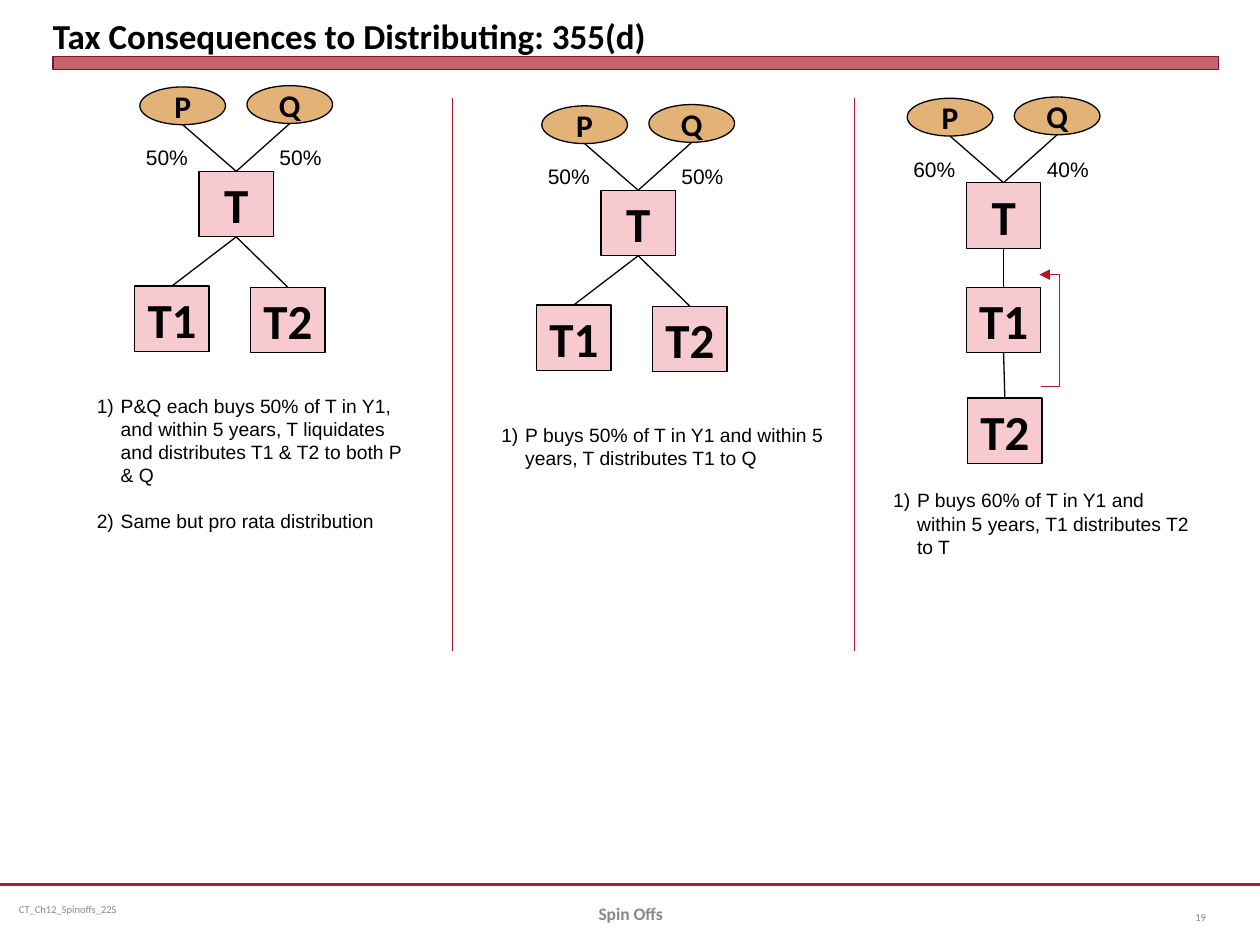
"""Builds the slide on tax consequences to Distributing under 355(d)."""
import pptx
import pptx.util
import pptx.dml.color
import pptx.enum.shapes
import pptx.enum.text
import pptx.oxml
import pptx.oxml.ns
import lxml.etree

Inches, Pt = pptx.util.Inches, pptx.util.Pt
hue = pptx.dml.color.RGBColor.from_string
Shape = pptx.enum.shapes.MSO_SHAPE
Wire = pptx.enum.shapes.MSO_CONNECTOR
Anchor = pptx.enum.text.MSO_ANCHOR
Align = pptx.enum.text.PP_ALIGN
qn = pptx.oxml.ns.qn

deck = pptx.Presentation()
deck.slide_width, deck.slide_height = Inches(10), Inches(7.5)
slide = deck.slides.add_slide(deck.slide_layouts[6])


def put(text, x, y, w, h, kind=None, fill=None, edge="000000", width=0.75,
        size=12, font="Arial", color="000000", bold=False, align=Align.LEFT,
        anchor=Anchor.TOP, wrap=True, inset=(0.1, 0.05), indent=0):
    """Add a box with text; each line is a paragraph, numbered if indented."""
    box = [Inches(n) for n in (x, y, w, h)]
    if kind is None:
        shape = slide.shapes.add_textbox(*box)
    else:
        shape = slide.shapes.add_shape(kind, *box)
        shape.shadow.inherit = False
        shape.fill.solid()
        shape.fill.fore_color.rgb = hue(fill)
        shape.line.color.rgb = hue(edge)
        shape.line.width = Pt(width)
    frame = shape.text_frame
    frame.word_wrap = wrap
    frame.vertical_anchor = anchor
    frame.margin_left = frame.margin_right = Inches(inset[0])
    frame.margin_top = frame.margin_bottom = Inches(inset[1])
    for i, line in enumerate(text.split("\n") if text else []):
        para = frame.add_paragraph() if i else frame.paragraphs[0]
        para.alignment = align
        run = para.add_run()
        run.text = line
        run.font.size, run.font.name, run.font.bold = Pt(size), font, bold
        run.font.color.rgb = hue(color)
        if indent:
            para.space_before = Pt(13 if i else 0)
            props = para._p.get_or_add_pPr()
            props.set("marL", str(Inches(indent)))
            props.set("indent", str(-Inches(indent)))
            lxml.etree.SubElement(props, qn("a:buFont"), typeface="Arial")
            lxml.etree.SubElement(props, qn("a:buAutoNum"), type="arabicParenR")
    return shape


def link(x1, y1, x2, y2, color="000000", width=0.75, kind=Wire.STRAIGHT):
    """Add a connector without shadow."""
    wire = slide.shapes.add_connector(kind, *[Inches(n) for n in (x1, y1, x2, y2)])
    wire.line.color.rgb = hue(color)
    wire.line.width = Pt(width)
    lxml.etree.SubElement(wire._element.spPr, qn("a:effectLst"))
    return wire


RED, GREY = "B0182A", "898989"
link(0, 7.02, 10, 7.02, color="B01C2E", width=1.25)
bar = put("", 0.42, 0.45, 9.25, 0.1, kind=Shape.RECTANGLE, fill="B01C2E",
          edge="821522", width=0)
tint = bar._element.spPr.find(qn("a:solidFill"))[0]
lxml.etree.SubElement(tint, qn("a:alpha"), val="69000")
put("Tax Consequences to Distributing: 355(d)", 0.42, 0.05, 9.25, 0.4, size=20,
    font="Calibri", bold=True, anchor=Anchor.BOTTOM, inset=(0, 0))
foot = dict(font="Calibri", anchor=Anchor.MIDDLE)
put("CT_Ch12_Spinoffs_22S", 0.08, 7.02, 2.58, 0.4, size=6, color=GREY,
    inset=(0.07, 0.04), **foot)
put("Spin Offs", 3.42, 7.05, 3.17, 0.4, size=10, color=GREY, bold=True,
    align=Align.CENTER, **foot)
put("19", 9.17, 7.08, 0.5, 0.4, size=6, color="808080", align=Align.RIGHT, **foot)

for x in (3.59, 6.78):
    link(x, 0.78, x, 5.17, color=RED)

BW, BH, OW, OH = 0.59, 0.52, 0.68, 0.3
node = dict(font="Calibri", bold=True, align=Align.CENTER, anchor=Anchor.MIDDLE,
            wrap=False)
fork = [("T1", -0.51, 0.91), ("T2", 0.41, 0.92)]
chain = [("T1", 0, 0.83), ("T2", 0.01, 1.71)]
panels = [
    (1.58, 1.36, ("50%", "50%"), fork, (0.67, 3.08, 2.66, 1.21),
     "P&Q each buys 50% of T in Y1, and within 5 years, T liquidates and "
     "distributes T1 & T2 to both P & Q\nSame but pro rata distribution"),
    (4.77, 1.51, ("50%", "50%"), fork, (3.88, 3.31, 2.89, 0.47),
     "P buys 50% of T in Y1 and within 5 years, T distributes T1 to Q"),
    (7.67, 1.45, ("60%", "40%"), chain, (6.99, 3.83, 2.58, 0.66),
     "P buys 60% of T in Y1 and within 5 years, T1 distributes T2 to T"),
]
for left, top, shares, subs, place, note in panels:
    mid = left + BW / 2
    owners = [("P", -0.47, -0.67, -0.52), ("Q", 0.38, -0.68, 0.54)]
    for (name, dx, dy, gap), share in zip(owners, shares):
        x, y = left + dx, top + dy
        link(x + OW / 2, y + OH, mid, top)
        put(name, x, y, OW, OH, kind=Shape.OVAL, fill="E3B276", size=18, **node)
        put(share, left + gap, top - 0.26, 0.54, 0.3, wrap=False)
    from_x, from_y = mid, top + BH
    for name, dx, dy in subs:
        x, y = left + dx, top + dy
        link(from_x, from_y, x + BW / 2, y)
        if subs is chain:
            from_x, from_y = x + BW / 2, y + BH
    for name, dx, dy in [("T", 0, 0)] + subs:
        put(name, left + dx, top + dy, BW, BH, kind=Shape.RECTANGLE,
            fill="F7CAD0", size=28, **node)
    put(note, *place, size=11, indent=0.19)

arrow = link(8.26, 3.07, 8.25, 2.18, color=RED, kind=Wire.ELBOW)
lxml.etree.SubElement(arrow.line._get_or_add_ln(), qn("a:tailEnd"), type="triangle")
guides = arrow._element.spPr.find(qn("a:prstGeom")).find(qn("a:avLst"))
lxml.etree.SubElement(guides, qn("a:gd"), name="adj1", fmla="val -1500000")

deck.save("out.pptx")
